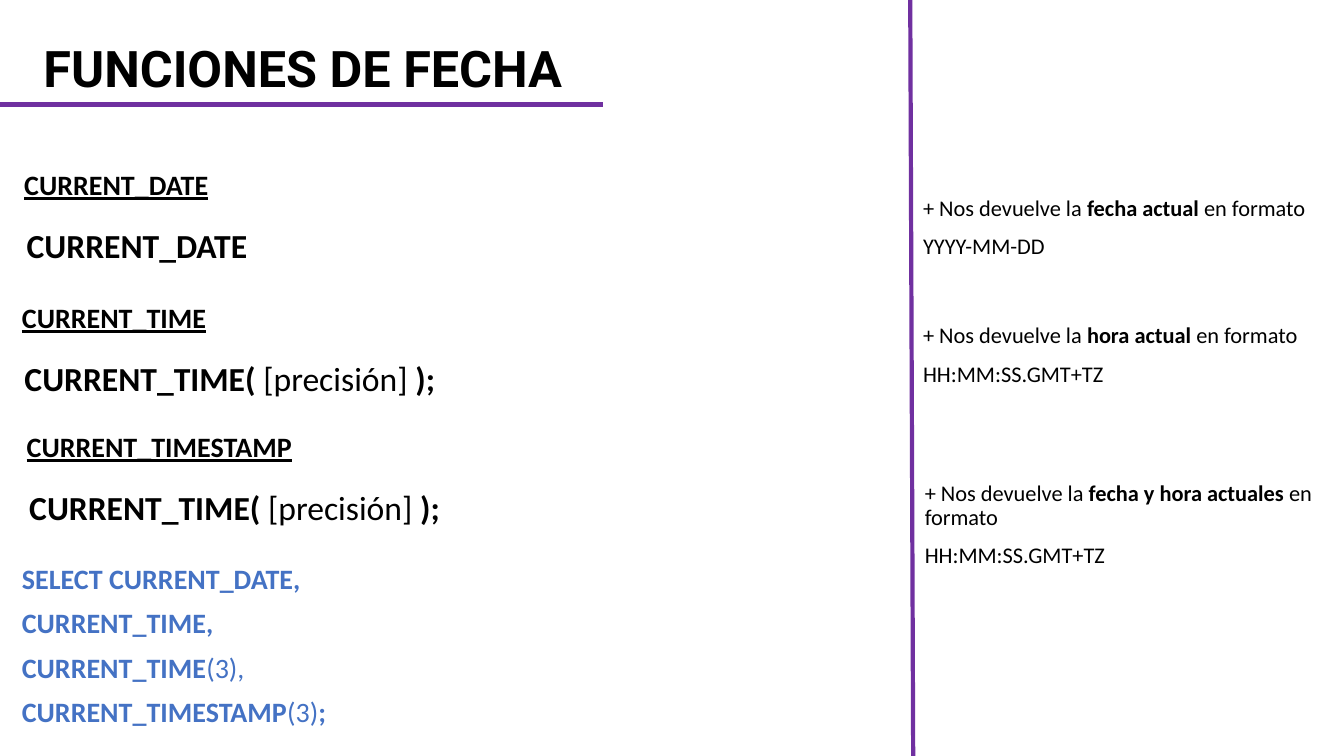
from pptx import Presentation
from pptx.dml.color import RGBColor
from pptx.enum.shapes import MSO_CONNECTOR
from pptx.enum.text import MSO_ANCHOR as Anchor
from pptx.util import Pt
from lxml.etree import SubElement
from pptx.oxml.ns import qn

BLACK = RGBColor(0x00, 0x00, 0x00)
PURPLE = RGBColor(0x70, 0x30, 0xA0)
BLUE = RGBColor(0x44, 0x72, 0xC4)


class SlideBuilder:
    """Holds the text style and the slide being filled."""
    body_font = "Calibri"
    title_font = "Roboto"
    line_spacing = 0.9
    space_before = Pt(10)

    def __init__(self, slide):
        self.slide = slide

    def text(self, left, top, width, height, paragraphs, size, color=BLACK,
             font=None, underline=None, anchor=Anchor.TOP):
        """Each paragraph is a list of (text, bold) runs."""
        box = self.slide.shapes.add_textbox(Pt(left), Pt(top), Pt(width), Pt(height))
        frame = box.text_frame
        frame.word_wrap = True
        frame.vertical_anchor = anchor
        for index, runs in enumerate(paragraphs):
            paragraph = frame.add_paragraph() if index else frame.paragraphs[0]
            paragraph.line_spacing = self.line_spacing
            if index:
                paragraph.space_before = self.space_before
            paragraph.font.name = font or self.body_font
            paragraph.font.size = Pt(size)
            paragraph.font.color.rgb = color
            paragraph.font.underline = underline
            bold_values = {bold for _, bold in runs}
            if len(bold_values) == 1:
                paragraph.font.bold = bold_values.pop()
            for words, bold in runs:
                run = paragraph.add_run()
                run.text = words
                if paragraph.font.bold is None:
                    run.font.bold = bold

    def line(self, x1, y1, x2, y2):
        connector = self.slide.shapes.add_connector(
            MSO_CONNECTOR.STRAIGHT, Pt(x1), Pt(y1), Pt(x2), Pt(y2))
        connector.line.color.rgb = PURPLE
        connector.line.width = Pt(3)
        SubElement(connector._element.spPr, qn("a:effectLst"))

    def function(self, left, top, name, syntax):
        """Underlined function name with its syntax below."""
        self.text(left, top, 627, 39, [[(name, True)]], 20, underline=True)
        self.text(left + 1.8, top + 41.5, 531, 42, [syntax], 24)

    def note(self, left, top, height, subject, pattern):
        sentence = [("+ Nos devuelve la ", False), (subject, True), (" en formato", False)]
        self.text(left, top, 307, height, [sentence, [(pattern, False)]], 16)


presentation = Presentation()
presentation.slide_width = Pt(960)
presentation.slide_height = Pt(540)
builder = SlideBuilder(presentation.slides.add_slide(presentation.slide_layouts[6]))

# Title and dividing lines
builder.text(24, 21.6, 720, 52.6, [[("FUNCIONES DE FECHA", True)]], 36,
             font=builder.title_font, anchor=Anchor.BOTTOM)
builder.line(0, 74.6, 430.5, 74.6)
builder.line(652.3, 540, 650.2, 0)

# Functions and their syntax
TIME_SYNTAX = [("CURRENT_TIME( ", True), ("[precisión] ", False), (");", True)]
builder.function(10.2, 118.8, "CURRENT_DATE", [("CURRENT_DATE", True)])
builder.function(8.6, 213.8, "CURRENT_TIME", TIME_SYNTAX)
builder.function(12, 306.3, "CURRENT_TIMESTAMP", TIME_SYNTAX)

# Notes on the right
builder.note(652.3, 137.5, 55.5, "fecha actual", "YYYY-MM-DD")
builder.note(652.3, 228.3, 55.5, "hora actual", "HH:MM:SS.GMT+TZ")
builder.note(653.5, 340.8, 101, "fecha y hora actuales", "HH:MM:SS.GMT+TZ")

# Example query
builder.text(8.6, 400.3, 640, 139.7, [
    [("SELECT CURRENT_DATE,", True)],
    [("CURRENT_TIME,", True)],
    [("CURRENT_TIME", True), ("(3),", False)],
    [("CURRENT_TIMESTAMP", True), ("(3)", False), (";", True)],
], 20, color=BLUE)

presentation.save("out.pptx")
